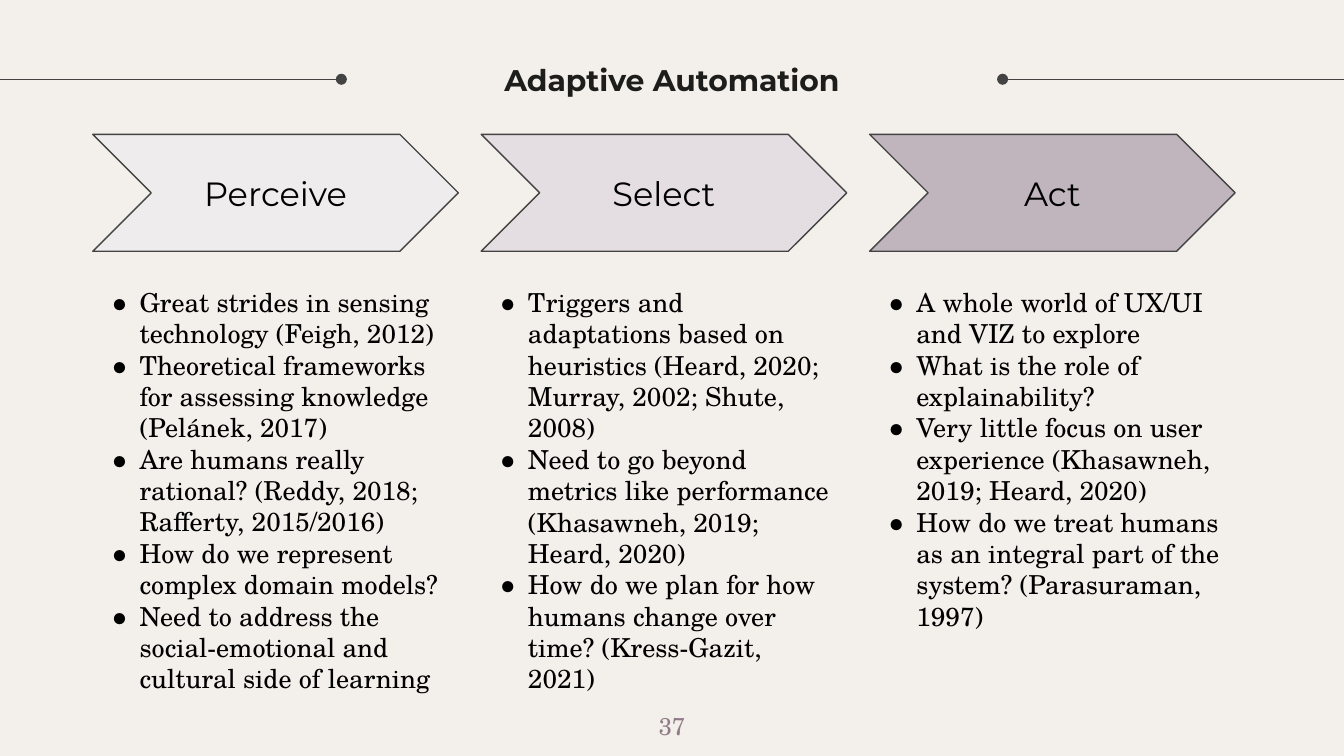
from lxml import etree
from pptx import Presentation, util as u
from pptx.dml.color import RGBColor
from pptx.enum import shapes, text
from pptx.oxml.ns import qn

WIDE = 10
HIGH = WIDE * 9 / 16
LEFT, STEP, SPAN = 0.69, 2.89, 2.72  # column grid
RULE = 0.59  # height of the side lines
SANS, SERIF = "Montserrat", "TeX Gyre Schola"
INK, BLACK = "434343", "000000"
MID, TOP = text.MSO_ANCHOR.MIDDLE, text.MSO_ANCHOR.TOP
HEAD = {"name": SANS, "size": u.Pt(16), "bold": True}
STAGE = {"name": SANS, "size": u.Pt(18)}
BODY = {"name": SERIF, "size": u.Pt(14)}
PAGE = {"name": SERIF, "size": u.Pt(13)}

STEPS = [
    ("Perceive", "EFECED", [
        "Great strides in sensing technology (Feigh, 2012)",
        "Theoretical frameworks for assessing knowledge (Pelánek, 2017)",
        "Are humans really rational? (Reddy, 2018; Rafferty, 2015/2016)",
        "How do we represent complex domain models?",
        "Need to address the social-emotional and cultural side of learning",
    ]),
    ("Select", "E4DDE1", [
        "Triggers and adaptations based on heuristics "
        "(Heard, 2020; Murray, 2002; Shute, 2008)",
        "Need to go beyond metrics like performance "
        "(Khasawneh, 2019; Heard, 2020)",
        "How do we plan for how humans change over time? (Kress-Gazit, 2021)",
    ]),
    ("Act", "C0B5BC", [
        "A whole world of UX/UI and VIZ to explore",
        "What is the role of explainability?",
        "Very little focus on user experience (Khasawneh, 2019; Heard, 2020)",
        "How do we treat humans as an integral part of the system? "
        "(Parasuraman, 1997)",
    ]),
]


def paint(item, tone):
    """Give a fill a solid hex colour."""
    item.solid()
    item.fore_color.rgb = RGBColor.from_string(tone)


def add_bullet(para):
    props = para._p.get_or_add_pPr()
    props.set("marL", str(u.Inches(0.25)))
    props.set("indent", str(u.Inches(-0.22)))
    tint = etree.SubElement(props, qn("a:buClr"))
    etree.SubElement(tint, qn("a:srgbClr"), val=BLACK)
    etree.SubElement(props, qn("a:buFont"), typeface=SERIF)
    etree.SubElement(props, qn("a:buChar"), char="●")


def write(shape, lines, font, tone=BLACK, anchor=MID, bullet=False):
    frame = shape.text_frame
    form = {"word_wrap": True, "vertical_anchor": anchor}
    for side in ("left", "right", "top", "bottom"):
        form["margin_" + side] = u.Inches(0.1)
    for key, value in form.items():
        setattr(frame, key, value)
    frame.text = "\n".join(lines)
    for para in frame.paragraphs:
        para.alignment = text.PP_ALIGN.LEFT if bullet else text.PP_ALIGN.CENTER
        if bullet:
            add_bullet(para)
        run = para.runs[0].font
        for key, value in font.items():
            setattr(run, key, value)
        paint(run.fill, tone)


def add_text(slide, spot, lines, font, **form):
    box = slide.shapes.add_textbox(*map(u.Inches, spot))
    write(box, lines, font, **form)


def add_arrow(slide, spot, label, tone):
    arrow = slide.shapes.add_shape(
        shapes.MSO_SHAPE.CHEVRON, *map(u.Inches, spot))
    arrow.shadow.inherit = False
    arrow.adjustments[0] = 0.5
    paint(arrow.fill, tone)
    paint(arrow.line.fill, INK)
    arrow.line.width = u.Pt(0.75)
    write(arrow, [label], STAGE)


def add_rule(slide, start, end):
    """Draw a level line with a dot at its start."""
    rule = slide.shapes.add_connector(
        shapes.MSO_CONNECTOR.STRAIGHT,
        *map(u.Inches, (start, RULE, end, RULE)))
    paint(rule.line.fill, INK)
    rule.line.width = u.Pt(0.75)
    etree.SubElement(rule.line._get_or_add_ln(), qn("a:headEnd"), type="oval")
    etree.SubElement(rule._element.spPr, qn("a:effectLst"))


def main():
    deck = Presentation()
    deck.slide_width, deck.slide_height = u.Inches(WIDE), u.Inches(HIGH)
    slide = deck.slides.add_slide(deck.slide_layouts[6])
    paint(slide.background.fill, "F3EFEA")

    # Title between two dotted lines
    edge = 2.54
    add_rule(slide, edge, 0)
    add_rule(slide, WIDE - edge, WIDE)
    add_text(slide, (edge, 0.12, WIDE - 2 * edge, 0.94),
             ["Adaptive Automation"], HEAD, tone="1D1D1B")

    # One arrow and one list per column
    for col, (label, tone, points) in enumerate(STEPS):
        left = LEFT + col * STEP
        tall = 3.27 if len(points) > 4 else 2.79
        add_arrow(slide, (left, 1, SPAN, 0.87), label, tone)
        add_text(slide, (left, 2.03, SPAN, tall), points, BODY,
                 anchor=TOP, bullet=True)

    # Page number
    add_text(slide, (WIDE / 2 - 0.3, 5.19, 0.6, 0.43), ["37"], PAGE,
             tone="8F7B87", anchor=TOP)
    deck.save("out.pptx")


if __name__ == "__main__":
    main()
